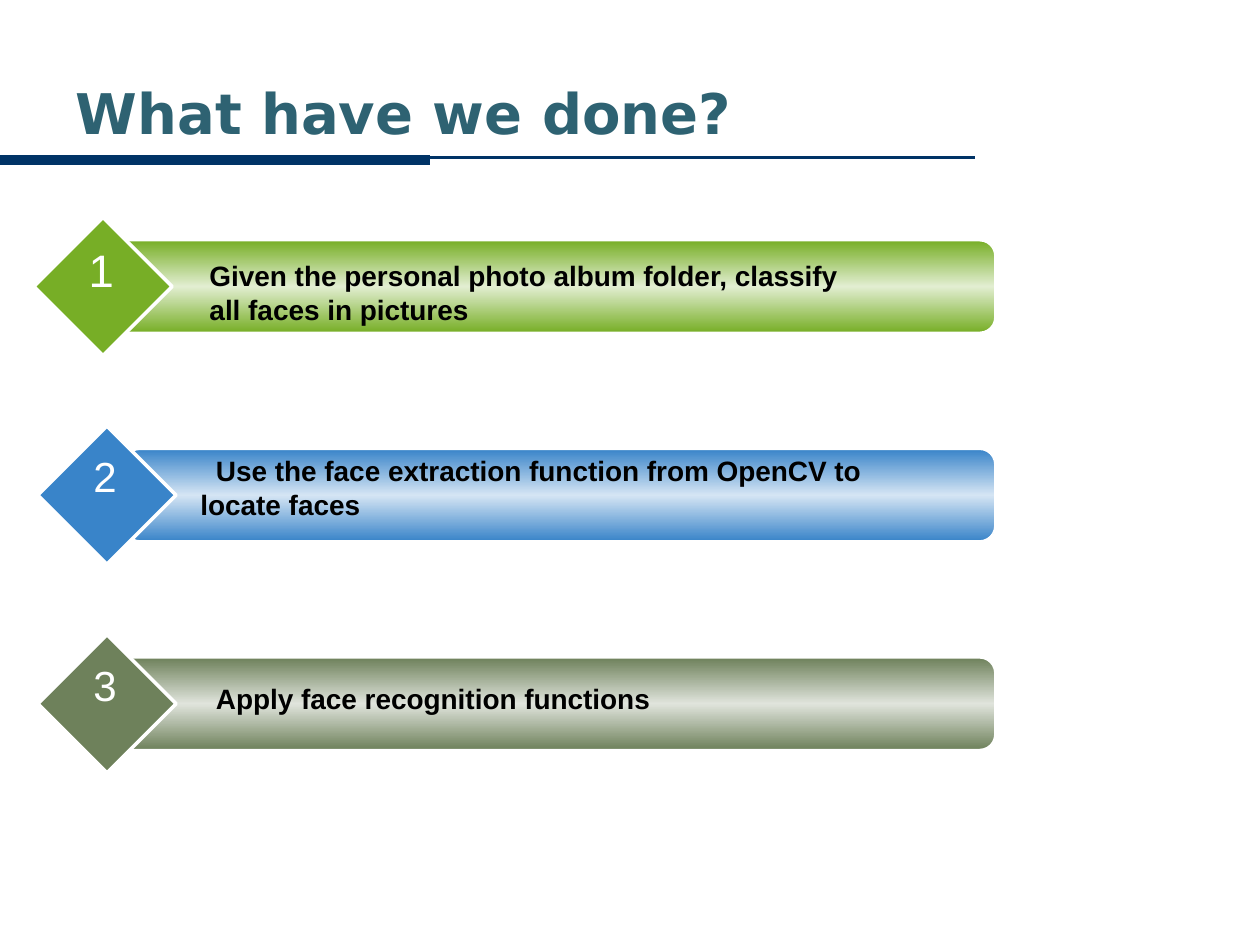
"""Build the "What have we done?" slide: three numbered steps on gradient bars."""
import copy

import pptx
import pptx.dml.color
import pptx.enum.shapes
import pptx.enum.text
import pptx.oxml.ns
import pptx.util

Pt = pptx.util.Pt
SHAPE = pptx.enum.shapes.MSO_SHAPE
ALIGN = pptx.enum.text.PP_ALIGN
ANCHOR = pptx.enum.text.MSO_ANCHOR

TITLE = "What have we done?"
STEPS = [
    {"text": "Given the personal photo album folder, classify all faces in pictures",
     "base": "77AE26", "light": "E2EED1", "bar_left": 64, "diamond_left": 19.4,
     "number_size": 26, "text_at": (119.7, 147.8, 367), "indent": 0},
    {"text": "Use the face extraction function from OpenCV to locate faces",
     "base": "3984C9", "light": "D5E5F4", "bar_left": 71.3, "diamond_left": 21.6,
     "number_size": 24, "text_at": (114.5, 259.2, 400), "indent": 8.9},
    {"text": "Apply face recognition functions",
     "base": "6E815B", "light": "E0E4DC", "bar_left": 65.5, "diamond_left": 21.6,
     "number_size": 24, "text_at": (123.4, 389.5, 392), "indent": 0},
]
RULES = [(0, 557.3, 90, 1.5), (0, 245.5, 91.4, 6)]
THEME = {
    "title_font": "DejaVu Sans", "body_font": "Arial",
    "title_size": 32, "step_size": 16,
    "title": "2E6272", "rule": "003366", "text": "000000", "white": "FFFFFF",
}
BAR_TOP, BAR_PITCH, BAR_HEIGHT, BAR_RIGHT = 137.5, 119.2, 52.5, 568.6
DIAMOND_SIZE = 79
NUMBER_WIDTH, NUMBER_HEIGHT, NUMBER_RISE = 28, 38, 2.8


def rgb(value):
    """Return a colour from its hex value."""
    return pptx.dml.color.RGBColor.from_string(value)


def style(para, font, size, colour, bold=False):
    """Format every run of a paragraph."""
    for span in para.runs:
        span.font.name = font
        span.font.size = Pt(size)
        span.font.bold = bold
        span.font.color.rgb = rgb(colour)


def add_title(slide):
    """Place and format the title placeholder."""
    box = slide.shapes.title
    box.left, box.top, box.width, box.height = Pt(36), Pt(41.8), Pt(606), Pt(44.6)
    frame = box.text_frame
    frame.text = TITLE
    frame.vertical_anchor = ANCHOR.MIDDLE
    frame.auto_size = pptx.enum.text.MSO_AUTO_SIZE.NONE
    frame.paragraphs[0].alignment = ALIGN.LEFT
    style(frame.paragraphs[0], THEME["title_font"], THEME["title_size"], THEME["title"], True)


def add_rule(slide, left, right, top, weight):
    """Draw one horizontal rule below the title."""
    rule = slide.shapes.add_connector(
        pptx.enum.shapes.MSO_CONNECTOR.STRAIGHT, Pt(left), Pt(top), Pt(right), Pt(top))
    rule.line.color.rgb = rgb(THEME["rule"])
    rule.line.width = Pt(weight)
    properties = rule._element.spPr
    properties.append(properties.makeelement(pptx.oxml.ns.qn("a:effectLst"), {}))


def add_outlined(slide, kind, left, top, width, height, weight):
    """Add a shape with a white outline."""
    shape = slide.shapes.add_shape(kind, Pt(left), Pt(top), Pt(width), Pt(height))
    shape.shadow.inherit = False
    shape.line.color.rgb = rgb(THEME["white"])
    shape.line.width = Pt(weight)
    return shape


def fill_gradient(shape, base, light):
    """Fill a shape from base through light and back to base."""
    shape.fill.gradient()
    shape.fill.gradient_angle = 90
    stop_list = shape._element.spPr.find(".//" + pptx.oxml.ns.qn("a:gsLst"))
    stop_list.append(copy.deepcopy(stop_list[-1]))
    for stop, position, colour in zip(
            shape.fill.gradient_stops, (0, 0.5, 1), (base, light, base)):
        stop.position = position
        stop.color.rgb = rgb(colour)


def add_text(slide, text, left, top, width, height, wrap):
    """Add a text box without margins and return its paragraph."""
    box = slide.shapes.add_textbox(Pt(left), Pt(top), Pt(width), Pt(height))
    frame = box.text_frame
    frame.word_wrap = wrap
    frame.margin_left = frame.margin_right = frame.margin_top = frame.margin_bottom = 0
    frame.text = text
    return frame.paragraphs[0]


def add_step(slide, index, step):
    """Draw one bar with its numbered diamond and its text."""
    top = BAR_TOP + index * BAR_PITCH
    left = step["diamond_left"]
    bar = add_outlined(slide, SHAPE.ROUNDED_RECTANGLE, step["bar_left"], top,
                       BAR_RIGHT - step["bar_left"], BAR_HEIGHT, 1)
    fill_gradient(bar, step["base"], step["light"])
    diamond = add_outlined(slide, SHAPE.DIAMOND, left, top + (BAR_HEIGHT - DIAMOND_SIZE) / 2,
                           DIAMOND_SIZE, DIAMOND_SIZE, 2)
    diamond.fill.solid()
    diamond.fill.fore_color.rgb = rgb(step["base"])

    number_left = left + (DIAMOND_SIZE - NUMBER_WIDTH) / 2 - 1
    number = add_text(slide, str(index + 1), number_left, top - NUMBER_RISE + 3.6,
                      NUMBER_WIDTH, NUMBER_HEIGHT, False)
    number.alignment = ALIGN.CENTER
    style(number, THEME["body_font"], step["number_size"], THEME["white"])

    text_left, text_top, text_width = step["text_at"]
    para = add_text(slide, step["text"], text_left, text_top, text_width, 40, True)
    if step["indent"]:
        para._p.get_or_add_pPr().set("indent", str(Pt(step["indent"])))
    style(para, THEME["body_font"], THEME["step_size"], THEME["text"], True)


def main():
    """Build and save the deck."""
    deck = pptx.Presentation()
    deck.slide_width, deck.slide_height = Pt(720), Pt(540)
    slide = deck.slides.add_slide(deck.slide_layouts[5])
    for rule in RULES:
        add_rule(slide, *rule)
    add_title(slide)
    for index, step in enumerate(STEPS):
        add_step(slide, index, step)
    deck.save("out.pptx")


if __name__ == "__main__":
    main()
